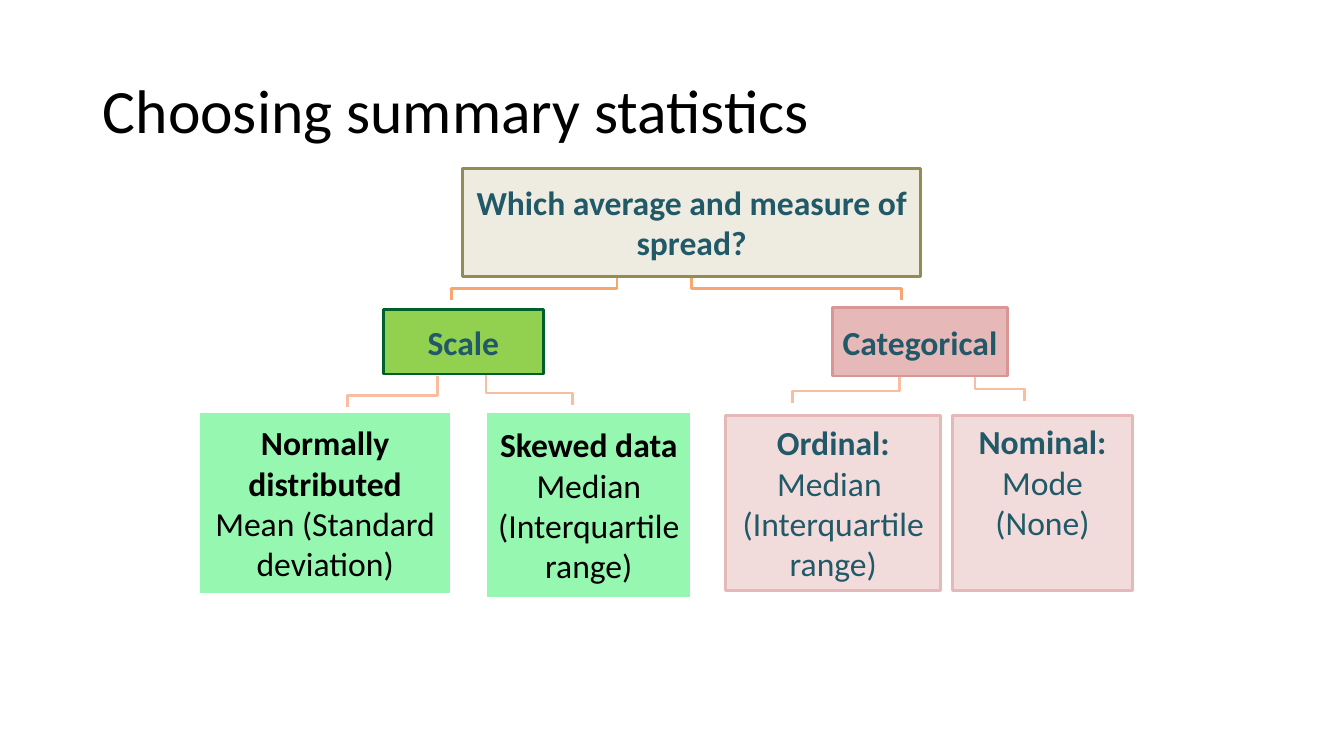
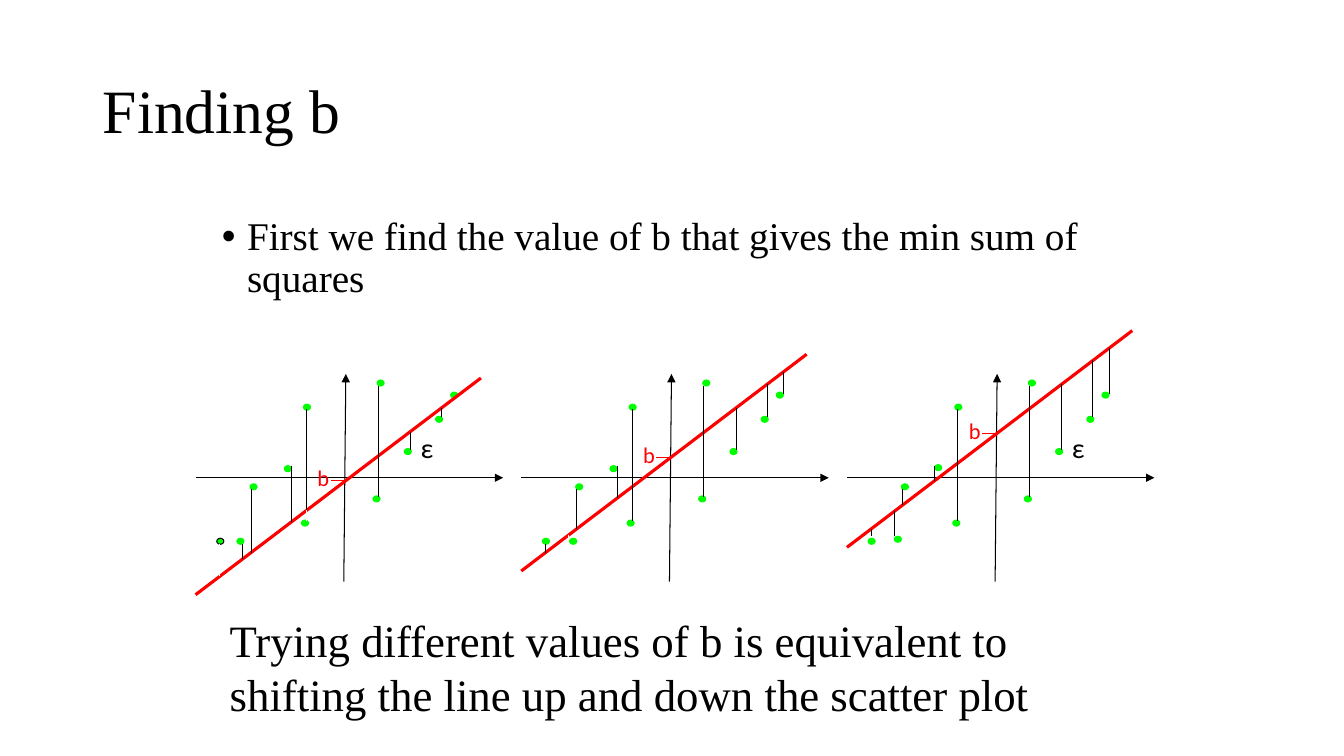
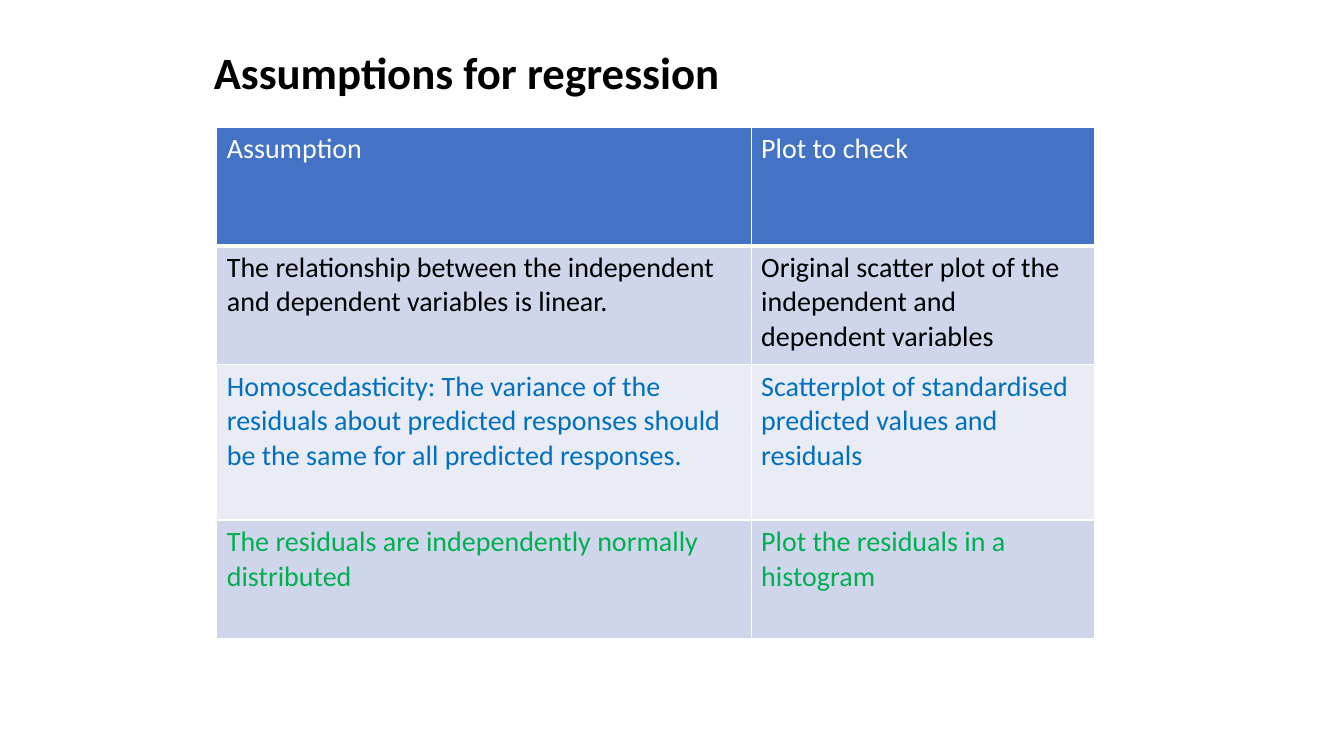
from dataclasses import dataclass, field

from lxml.etree import SubElement
from pptx import Presentation
from pptx.dml.color import RGBColor
from pptx.enum.shapes import MSO_CONNECTOR, MSO_SHAPE
from pptx.enum.text import MSO_ANCHOR, MSO_AUTO_SIZE, PP_ALIGN
from pptx.oxml.ns import qn
from pptx.util import Inches, Pt


@dataclass(frozen=True)
class Theme:
    sans: str = "Calibri"
    serif: str = "Times New Roman"
    # Type sizes
    title: int = 44
    small_title: int = 32
    body: int = 28
    closing: int = 32
    box: int = 24
    cell: int = 20
    residual_label: int = 20
    intercept_label: int = 16
    # Line widths
    hairline: float = 0.75
    outline: float = 2
    fit_line: float = 2.25
    # Colours
    black: str = "000000"
    white: str = "FFFFFF"
    teal: str = "215968"
    beige: str = "EEECE1"
    olive: str = "948A54"
    lime: str = "92D050"
    forest: str = "00602B"
    mint: str = "96F8B0"
    rose: str = "E6B9B8"
    deep_rose: str = "D99694"
    pale_rose: str = "F2DCDB"
    branch: str = "F8A56E"
    pale_branch: str = "F9BE9F"
    red: str = "FF0000"
    dot: str = "00FF00"
    header: str = "4472C4"
    band: str = "CFD5EA"
    pale_band: str = "E9EBF5"
    blue: str = "0070C0"
    green: str = "00B050"


THEME = Theme()
FLAT_MARGIN = 0.02


# Shared helpers
def rgb(value):
    return RGBColor.from_string(value)


def place(shape, left, top, width, height):
    shape.left, shape.top = Inches(left), Inches(top)
    shape.width, shape.height = Inches(width), Inches(height)


def add_run(paragraph, text, size, color=THEME.black, font=THEME.sans, bold=False):
    run = paragraph.add_run()
    run.text = text
    run.font.name, run.font.size, run.font.bold = font, Pt(size), bold
    run.font.color.rgb = rgb(color)


def set_line(shape, color, width):
    shape.line.color.rgb = rgb(color)
    shape.line.width = Pt(width)


def add_title(slide, text, box=(0.92, 0.4, 11.5, 1.45), **style):
    title = slide.shapes.title
    place(title, *box)
    frame = title.text_frame
    frame.auto_size = MSO_AUTO_SIZE.NONE
    frame.vertical_anchor = MSO_ANCHOR.MIDDLE
    paragraph = frame.paragraphs[0]
    paragraph.alignment = PP_ALIGN.LEFT
    paragraph.line_spacing = 0.9
    add_run(paragraph, text, **{"size": THEME.title, **style})


def add_text(slide, text, box, wrap=True, space_before=0, **style):
    text_box = slide.shapes.add_textbox(*map(Inches, box))
    frame = text_box.text_frame
    frame.word_wrap = wrap
    frame.auto_size = MSO_AUTO_SIZE.NONE if wrap else MSO_AUTO_SIZE.SHAPE_TO_FIT_TEXT
    paragraph = frame.paragraphs[0]
    paragraph.space_before = Pt(space_before)
    add_run(paragraph, text, **style)


def add_line(slide, start, end, color=THEME.black, width=THEME.hairline, arrow=False):
    line = slide.shapes.add_connector(
        MSO_CONNECTOR.STRAIGHT, *map(Inches, (*start, *end)))
    set_line(line, color, width)
    if arrow:
        SubElement(line.line._get_or_add_ln(), qn("a:tailEnd"), type="triangle")
    SubElement(line._element.spPr, qn("a:effectLst"))


# Decision tree
def add_branch(slide, start, end, color):
    bar = end[1] - 0.12
    points = [start, (start[0], bar), (end[0], bar), end]
    corners = [(Inches(x), Inches(y)) for x, y in points]
    builder = slide.shapes.build_freeform(*corners[0])
    builder.add_line_segments(corners[1:], close=False)
    branch = builder.convert_to_shape()
    branch.fill.background()
    set_line(branch, color, THEME.outline)
    branch.shadow.inherit = False


def add_box(slide, box, heading, details, fill, line, color=THEME.teal, top_margin=None):
    shape = slide.shapes.add_shape(MSO_SHAPE.RECTANGLE, *map(Inches, box))
    shape.shadow.inherit = False
    shape.fill.solid()
    shape.fill.fore_color.rgb = rgb(fill)
    set_line(shape, line, THEME.outline)
    frame = shape.text_frame
    frame.word_wrap = True
    frame.margin_left = frame.margin_right = Inches(FLAT_MARGIN)
    frame.margin_top = frame.margin_bottom = Inches(FLAT_MARGIN)
    frame.vertical_anchor = MSO_ANCHOR.MIDDLE
    if top_margin is not None:
        frame.vertical_anchor = MSO_ANCHOR.TOP
        frame.margin_top = Inches(top_margin)
    for index, text in enumerate([heading, *details]):
        paragraph = frame.add_paragraph() if index else frame.paragraphs[0]
        paragraph.alignment = PP_ALIGN.CENTER
        add_run(paragraph, text, THEME.box, color, bold=index == 0)


def build_summary_statistics(presentation):
    slide = presentation.slides.add_slide(presentation.slide_layouts[5])
    add_title(slide, "Choosing summary statistics")

    for start, end in (((6.12, 2.74), (4.48, 2.98)), ((6.86, 2.74), (8.94, 2.98))):
        add_branch(slide, start, end, THEME.branch)
    for start, end in (
        ((4.34, 3.73), (3.45, 4.04)),
        ((4.82, 3.71), (5.68, 4.02)),
        ((8.92, 3.73), (7.86, 4)),
        ((9.67, 3.73), (10.16, 3.98)),
    ):
        add_branch(slide, start, end, THEME.pale_branch)

    add_box(slide, (4.59, 1.67, 4.54, 1.07), "Which average and measure of spread?", [],
            THEME.beige, THEME.olive)
    add_box(slide, (3.8, 3.07, 1.59, 0.64), "Scale", [], THEME.lime, THEME.forest)
    add_box(slide, (8.26, 3.05, 1.73, 0.68), "Categorical", [],
            THEME.rose, THEME.deep_rose)
    scale_style = (THEME.mint, THEME.white, THEME.black)
    add_box(slide, (1.97, 4.08, 2.51, 1.82), "Normally distributed",
            ["Mean (Standard deviation)"], *scale_style)
    add_box(slide, (4.82, 4.08, 2.04, 1.86), "Skewed data",
            ["Median (Interquartile range)"], *scale_style)
    category_style = (THEME.pale_rose, THEME.rose)
    add_box(slide, (7.2, 4.12, 2.13, 1.74), "Ordinal:",
            ["Median ", "(Interquartile range)"], *category_style)
    add_box(slide, (9.45, 4.12, 1.78, 1.74), "Nominal:", ["Mode (None)"],
            *category_style, top_margin=0.06)


# Scatter plots: dot left, dot top, residual x, residual start
SCATTER = [
    (2.15, 5.34, 2.18, 5.4),
    (2.35, 5.34, 2.41, 5.4),
    (2.82, 4.62, 2.89, 4.62),
    (2.48, 4.8, 2.49, 4.85),
    (2.99, 5.16, 3.04, 5.17),
    (3.01, 4.01, 3.04, 4.06),
    (3.7, 4.92, 3.75, 4.93),
    (3.74, 3.77, 3.75, 3.83),
    (4.01, 4.45, 4.07, 4.46),
    (4.32, 4.13, 4.38, 4.14),
    (4.47, 3.89, 4.54, 3.91),
]
PLOT_STEP = 3.23
LINE_RISE = 0.235
FIT_START, FIT_END = (1.94, 5.9), (4.77, 3.75)
SLOPE = (FIT_END[1] - FIT_START[1]) / (FIT_END[0] - FIT_START[0])


@dataclass
class Plot:
    changes: dict = field(default_factory=dict)
    white_residuals: tuple = ()
    outlined_dots: tuple = ()
    residual_label: bool = False


PLOTS = [
    Plot(white_residuals=(0, 4), outlined_dots=(0,), residual_label=True),
    Plot(changes={1: (2.42, 5.34, 2.41, 5.4)}, white_residuals=(1,)),
    Plot(changes={0: (2.15, 5.34, 2.18, 5.32),
                  1: (2.41, 5.32, 2.41, 5.32),
                  2: (2.81, 4.61, 2.81, 4.62)}, residual_label=True),
]


def add_dot(slide, left, top, outline):
    dot = slide.shapes.add_shape(
        MSO_SHAPE.OVAL, *map(Inches, (left, top, 0.07, 0.06)))
    dot.shadow.inherit = False
    dot.fill.solid()
    dot.fill.fore_color.rgb = rgb(THEME.dot)
    set_line(dot, outline, THEME.hairline)


def add_plot(slide, plot, number):
    shift, rise = number * PLOT_STEP, number * LINE_RISE
    rows = [plot.changes.get(index, row) for index, row in enumerate(SCATTER)]

    # Axes, dots and fitted line
    add_line(slide, (3.41 + shift, 5.77), (3.43 + shift, 3.71), arrow=True)
    add_line(slide, (1.94 + shift, 4.74), (4.99 + shift, 4.74), arrow=True)
    for index, (left, top, *_) in enumerate(rows):
        outline = THEME.black if index in plot.outlined_dots else THEME.dot
        add_dot(slide, left + shift, top, outline)
    add_line(slide, (FIT_END[0] + shift, FIT_END[1] - rise),
             (FIT_START[0] + shift, FIT_START[1] - rise), THEME.red, THEME.fit_line)

    # Residuals run from each dot to the fitted line
    for index, (_, _, x, start) in enumerate(rows):
        end = FIT_START[1] + SLOPE * (x - FIT_START[0]) - rise
        if abs(end - start) > 0.05:
            color = THEME.white if index in plot.white_residuals else THEME.black
            add_line(slide, (x + shift, start), (x + shift, end), color)

    # Labels
    tick = 4.77 - rise
    add_line(slide, (3.44 + shift, tick), (3.28 + shift, tick), THEME.red)
    add_text(slide, "b", (3.05 + shift, 4.56 - rise, 0.32, 0.37), wrap=False,
             size=THEME.intercept_label, color=THEME.red)
    if plot.residual_label:
        add_text(slide, "ε", (4.1 + shift, 4.22, 0.17, 0.2), size=THEME.residual_label)


def build_finding_b(presentation):
    slide = presentation.slides.add_slide(presentation.slide_layouts[1])
    add_title(slide, "Finding b", font=THEME.serif)

    body = slide.placeholders[1]
    place(body, 2.1, 2.1, 9, 1.42)
    body.text_frame.auto_size = MSO_AUTO_SIZE.NONE
    paragraph = body.text_frame.paragraphs[0]
    paragraph.line_spacing, paragraph.space_before = 0.9, Pt(10)
    properties = paragraph._p.get_or_add_pPr()
    properties.set("marL", str(Inches(0.25)))
    properties.set("indent", str(Inches(-0.25)))
    SubElement(properties, qn("a:buChar"), char="•")
    add_run(paragraph, "First we find the value of b that gives the min sum of squares",
            THEME.body, font=THEME.serif)

    for number, plot in enumerate(PLOTS):
        add_plot(slide, plot, number)
    add_text(slide, "Trying different values of b is equivalent to shifting the line "
             "up and down the scatter plot", (2.18, 6.03, 9, 1.42),
             space_before=0.2 * THEME.closing, size=THEME.closing, font=THEME.serif)


# Assumptions table
def add_borders(cell, bottom_width):
    properties = cell._tc.get_or_add_tcPr()
    for side, width in (("L", 1), ("R", 1), ("T", 1), ("B", bottom_width)):
        border = SubElement(properties, qn(f"a:ln{side}"), w=str(Pt(width)))
        fill = SubElement(border, qn("a:solidFill"))
        SubElement(fill, qn("a:srgbClr"), val=THEME.white)


def build_assumptions(presentation):
    slide = presentation.slides.add_slide(presentation.slide_layouts[5])
    add_title(slide, "Assumptions for regression", (2.02, 0.12, 7.48, 1.25),
              size=THEME.small_title, bold=True)

    widths = (5.3, 3.41)
    # Height, fill, text colour, texts
    rows = [
        (1.18, THEME.header, THEME.white, ("Assumption", "Plot to check")),
        (1.18, THEME.band, THEME.black, (
            "The relationship between the independent and dependent variables is linear.",
            "Original scatter plot of the independent and dependent variables")),
        (1.54, THEME.pale_band, THEME.blue, (
            "Homoscedasticity: The variance of the residuals about predicted responses "
            "should be the same for all predicted responses.",
            "Scatterplot of standardised predicted values and residuals")),
        (1.18, THEME.band, THEME.green, (
            "The residuals are independently normally distributed",
            "Plot the residuals in a histogram")),
    ]
    table = slide.shapes.add_table(
        len(rows), len(widths), *map(Inches, (2.15, 1.26, 8.71, 5.09))).table
    for column, width in zip(table.columns, widths):
        column.width = Inches(width)
    for row_index, (height, fill, color, texts) in enumerate(rows):
        table.rows[row_index].height = Inches(height)
        for column_index, text in enumerate(texts):
            cell = table.cell(row_index, column_index)
            add_borders(cell, bottom_width=1 if row_index else 3)
            cell.fill.solid()
            cell.fill.fore_color.rgb = rgb(fill)
            add_run(cell.text_frame.paragraphs[0], text, THEME.cell, color)


def main():
    presentation = Presentation()
    presentation.slide_width, presentation.slide_height = Inches(13.33), Inches(7.5)
    build_summary_statistics(presentation)
    build_finding_b(presentation)
    build_assumptions(presentation)
    presentation.save("out.pptx")


if __name__ == "__main__":
    main()
